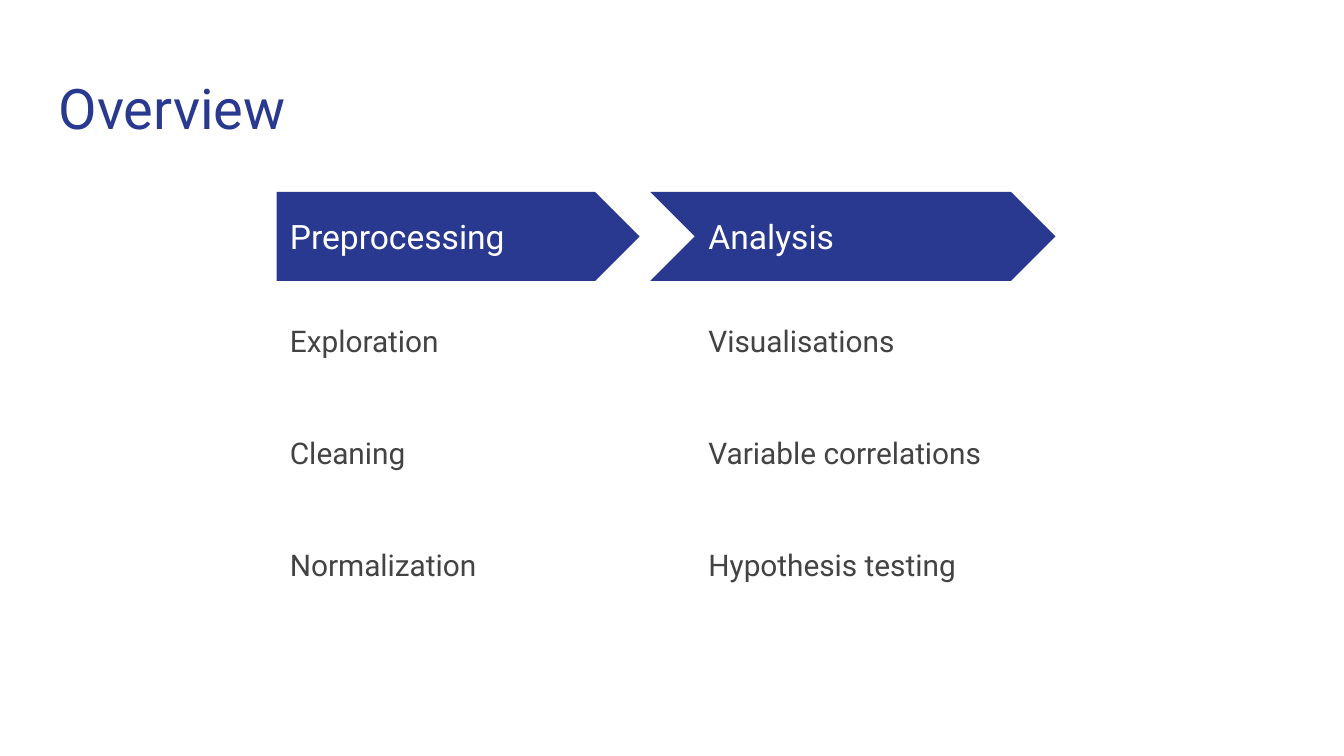
from pptx import Presentation
from pptx.dml.color import RGBColor
from pptx.enum.shapes import MSO_SHAPE
from pptx.enum.text import MSO_ANCHOR, MSO_AUTO_SIZE, PP_ALIGN
from pptx.util import Cm, Pt

# Content: one entry per stage, with arrow left, arrow width and text left in cm
TITLE = "Overview"
STAGES = [
    ("Preprocessing", MSO_SHAPE.PENTAGON, 5.23, 6.86, 5.23,
     ["Exploration", "Cleaning", "Normalization"]),
    ("Analysis", MSO_SHAPE.CHEVRON, 12.29, 7.66, 13.14,
     ["Visualisations", "Variable correlations", "Hypothesis testing"]),
]

THEME = {
    "font": "Roboto",
    "blue": RGBColor(0x2A, 0x39, 0x90),
    "white": RGBColor(0xFF, 0xFF, 0xFF),
    "gray": RGBColor(0x43, 0x43, 0x43),
    "title": Pt(30),
    "head": Pt(18),
    "body": Pt(16),
}

# Shared rows, in cm
BAR_TOP, BAR_H = 3.63, 1.68
HEAD_W, HEAD_H = 6.27, 0.86
HEAD_TOP = BAR_TOP + (BAR_H - HEAD_H) / 2
LIST_TOP, LIST_W, LIST_H = 5.74, 6.86, 7.37
INSET = Cm(0.25)


def place(shape, left, top, width, height):
    shape.left, shape.top = Cm(left), Cm(top)
    shape.width, shape.height = Cm(width), Cm(height)


def write(shape, lines, size, color, anchor=MSO_ANCHOR.TOP, pitch=None, gap=0):
    frame = shape.text_frame
    frame.word_wrap = True
    frame.auto_size = MSO_AUTO_SIZE.NONE
    frame.vertical_anchor = anchor
    frame.margin_left = frame.margin_right = INSET
    frame.margin_top = frame.margin_bottom = INSET
    for i, line in enumerate(lines):
        para = frame.add_paragraph() if i else frame.paragraphs[0]
        para.alignment = PP_ALIGN.LEFT
        para.line_spacing = pitch or 1.0
        para.space_before = Pt(gap if i else 0)
        run = para.add_run()
        run.text = line
        run.font.name = THEME["font"]
        run.font.size = THEME[size]
        run.font.color.rgb = THEME[color]


def add_text(slide, box, *args, **opts):
    shape = slide.shapes.add_textbox(0, 0, 0, 0)
    place(shape, *box)
    write(shape, *args, **opts)


def add_stage(slide, name, kind, left, width, text_left, items):
    # Arrow
    bar = slide.shapes.add_shape(kind, 0, 0, 0, 0)
    place(bar, left, BAR_TOP, width, BAR_H)
    bar.adjustments[0] = 0.5
    bar.shadow.inherit = False
    bar.fill.solid()
    bar.fill.fore_color.rgb = THEME["blue"]
    bar.line.fill.background()

    # Heading and steps
    add_text(slide, (text_left, HEAD_TOP, HEAD_W, HEAD_H), [name],
             "head", "white", anchor=MSO_ANCHOR.MIDDLE)
    add_text(slide, (text_left, LIST_TOP, LIST_W, LIST_H), items,
             "body", "gray", pitch=1.15, gap=38)


def main():
    deck = Presentation()
    deck.slide_width, deck.slide_height = Cm(25.4), Cm(14.29)
    slide = deck.slides.add_slide(deck.slide_layouts[5])

    # Title
    title = slide.shapes.title
    place(title, 0.86, 1.14, 23.67, 1.68)
    write(title, [TITLE], "title", "blue")

    # Stages
    for stage in STAGES:
        add_stage(slide, *stage)
    deck.save("out.pptx")


if __name__ == "__main__":
    main()
